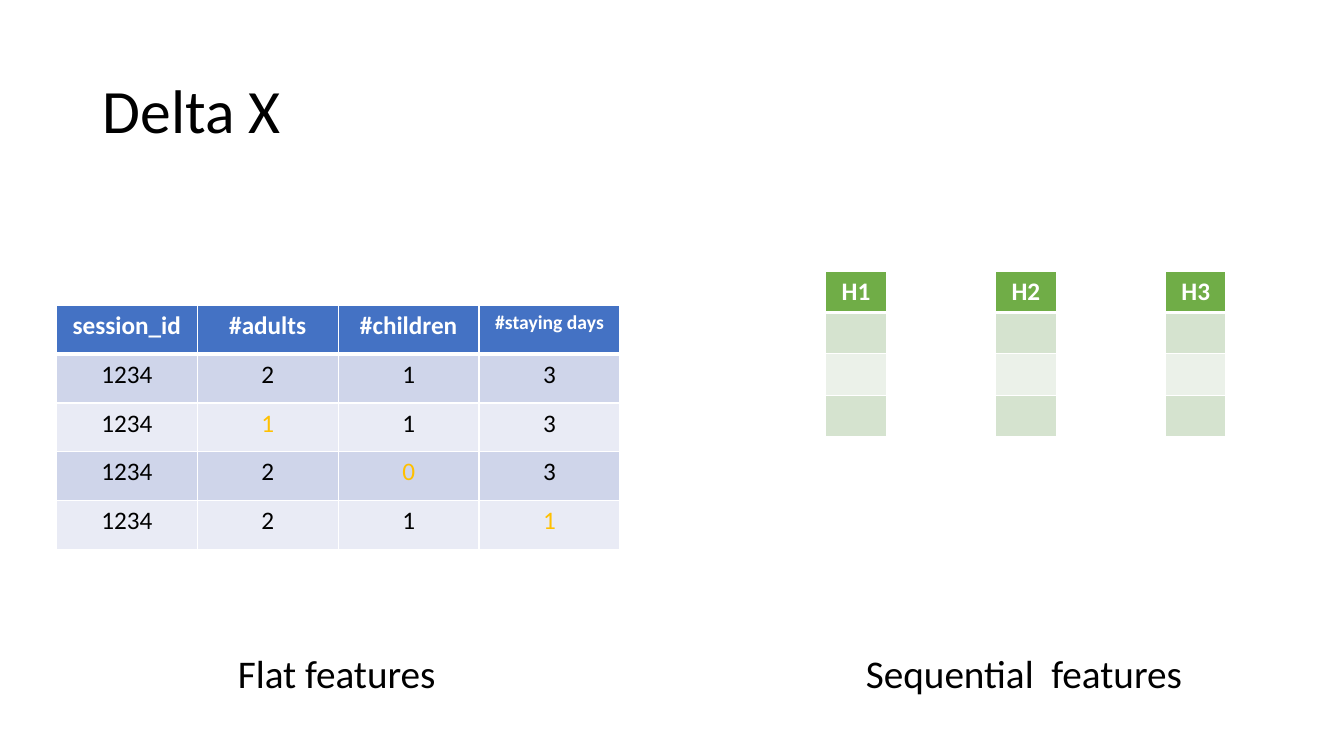
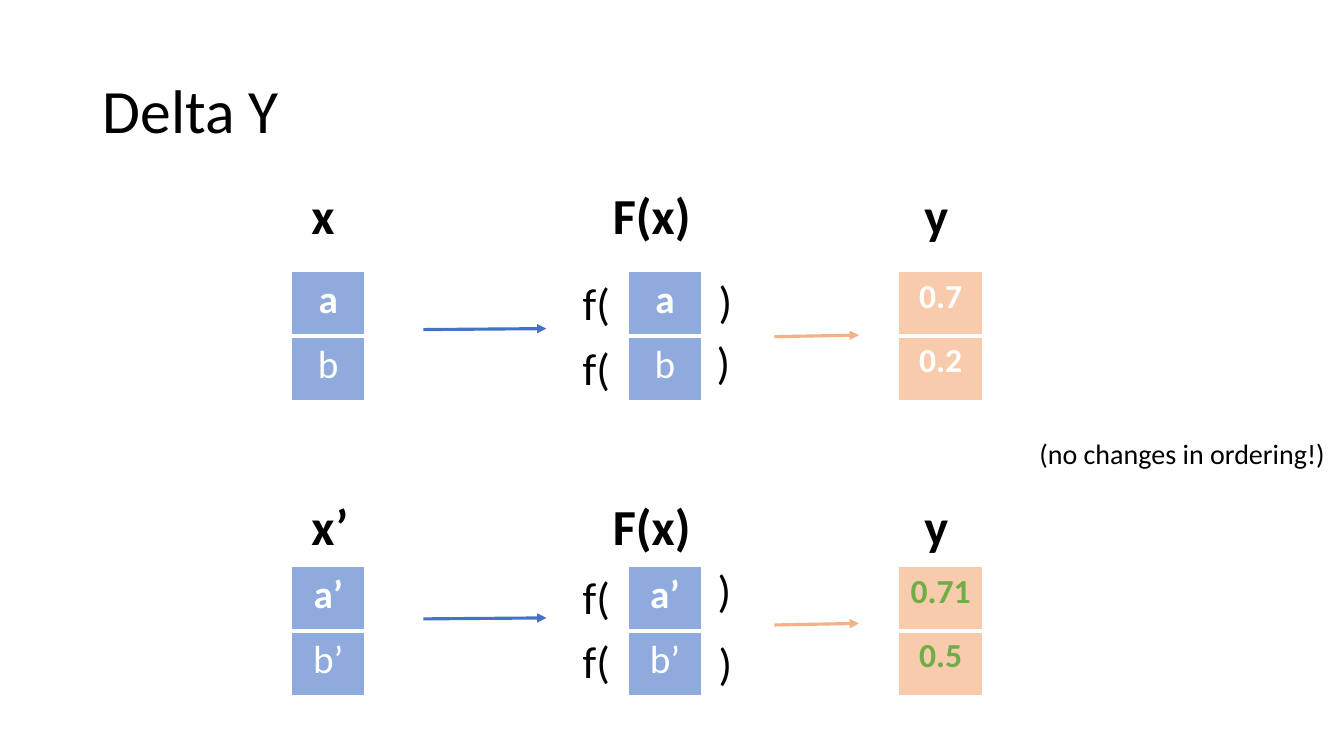
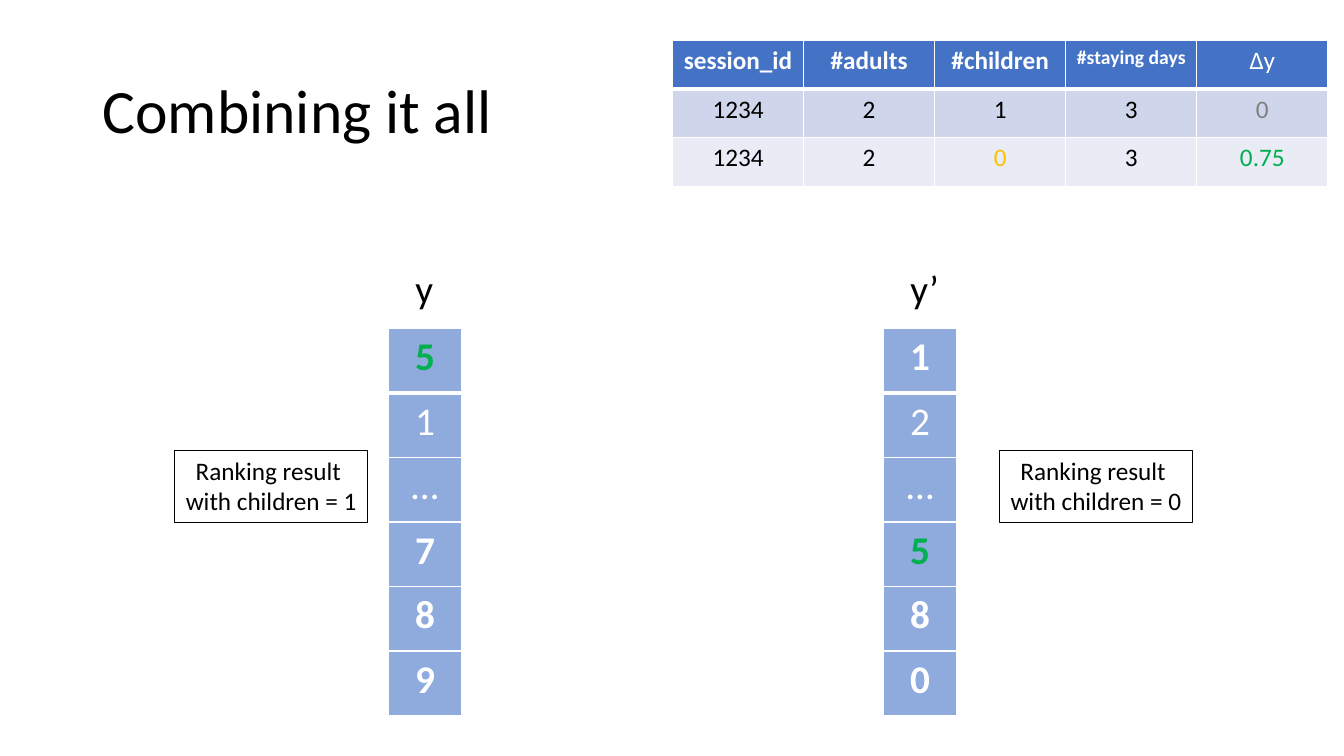
import collections
import dataclasses
import typing

import lxml.etree
import pptx
import pptx.dml.color
import pptx.enum.shapes
import pptx.enum.text
import pptx.oxml
import pptx.oxml.ns
import pptx.util

Inches = pptx.util.Inches
Pt = pptx.util.Pt
RGBColor = pptx.dml.color.RGBColor
qn = pptx.oxml.ns.qn

FONT = "Calibri"
BLACK = RGBColor(0x00, 0x00, 0x00)
WHITE = RGBColor(0xFF, 0xFF, 0xFF)
GREY = RGBColor(0x80, 0x80, 0x80)
AMBER = RGBColor(0xFF, 0xC0, 0x00)
EMERALD = RGBColor(0x00, 0xB0, 0x50)
GREEN = RGBColor(0x70, 0xAD, 0x47)
GREEN_DARK_BAND = RGBColor(0xD5, 0xE3, 0xCF)
GREEN_LIGHT_BAND = RGBColor(0xEB, 0xF1, 0xE9)
BLUE = RGBColor(0x44, 0x72, 0xC4)
BLUE_DARK_BAND = RGBColor(0xCF, 0xD5, 0xEA)
BLUE_LIGHT_BAND = RGBColor(0xE9, 0xEB, 0xF5)
BLUE_SOFT = RGBColor(0x8F, 0xAA, 0xDC)
ORANGE = RGBColor(0xF4, 0xB1, 0x83)
PEACH = RGBColor(0xF8, 0xCB, 0xAD)

BLUE_BANDS = (BLUE, BLUE_DARK_BAND, BLUE_LIGHT_BAND)
GREEN_BANDS = (GREEN, GREEN_DARK_BAND, GREEN_LIGHT_BAND)
SOFT_BLUE_FILL = (BLUE_SOFT,) * 3
PEACH_FILL = (PEACH,) * 3

ROW_HEIGHT = 0.64
COLUMN_WIDTH = 0.73

Box = collections.namedtuple("Box", "left top width height")


@dataclasses.dataclass
class Words:
    """A run of text with its style."""
    text: str
    color: RGBColor = BLACK
    bold: bool = False
    size: float = 18


@dataclasses.dataclass
class MappingLayout:
    """Vertical offsets of one mapping row, measured from the top of its tables."""
    heading: float
    openings: typing.Sequence[float]
    closings: typing.Sequence[typing.Tuple[float, float]]
    input_arrow: float
    output_arrow: float


def white(text, bold=True, size=18):
    return Words(text, WHITE, bold, size)


def as_emu(box):
    return [Inches(length) for length in box]


def add_run(paragraph, words):
    run = paragraph.add_run()
    run.text = words.text
    run.font.name = FONT
    run.font.size = Pt(words.size)
    run.font.bold = words.bold
    run.font.color.rgb = words.color


def add_label(slide, box, words):
    shape = slide.shapes.add_textbox(*as_emu(box))
    shape.text_frame.word_wrap = False
    shape.text_frame.auto_size = pptx.enum.text.MSO_AUTO_SIZE.SHAPE_TO_FIT_TEXT
    add_run(shape.text_frame.paragraphs[0], words)


def add_titled_slide(presentation, title):
    slide = presentation.slides.add_slide(presentation.slide_layouts[6])
    shape = slide.shapes.add_textbox(*as_emu(Box(0.92, 0.4, 11.5, 1.45)))
    frame = shape.text_frame
    frame.word_wrap = True
    frame.vertical_anchor = pptx.enum.text.MSO_ANCHOR.MIDDLE
    frame.paragraphs[0].line_spacing = 0.9
    add_run(frame.paragraphs[0], Words(title, size=44))
    return slide


def set_borders(cell, row_index):
    """White grid, with a heavier rule below the first row."""
    properties = cell._tc.get_or_add_tcPr()
    widths = {"lnL": 1, "lnR": 1,
              "lnT": 3 if row_index == 1 else 1,
              "lnB": 3 if row_index == 0 else 1}
    for position, (side, width) in enumerate(widths.items()):
        line = lxml.etree.Element(qn("a:" + side), w=str(int(Pt(width))))
        fill = lxml.etree.SubElement(line, qn("a:solidFill"))
        lxml.etree.SubElement(fill, qn("a:srgbClr"), val=str(WHITE))
        properties.insert(position, line)


def add_grid(slide, box, rows, fills):
    """Table of equal cells; fills are the header and the two alternating bands."""
    frame = slide.shapes.add_table(len(rows), len(rows[0]), *as_emu(box))
    table = frame.table
    table.first_row = False
    table.horz_banding = False
    for column in table.columns:
        column.width = Inches(box.width / len(rows[0]))
    for row_index, row in enumerate(rows):
        table.rows[row_index].height = Inches(box.height / len(rows))
        fill = fills[0] if row_index == 0 else fills[2 - row_index % 2]
        for column_index, words in enumerate(row):
            cell = table.cell(row_index, column_index)
            cell.fill.solid()
            cell.fill.fore_color.rgb = fill
            set_borders(cell, row_index)
            paragraph = cell.text_frame.paragraphs[0]
            paragraph.alignment = pptx.enum.text.PP_ALIGN.CENTER
            if words:
                add_run(paragraph, words)


def add_stack(slide, left, top, cells, fills=SOFT_BLUE_FILL, width=COLUMN_WIDTH,
              row_height=ROW_HEIGHT):
    """Table of a single column."""
    box = Box(left, top, width, row_height * len(cells))
    add_grid(slide, box, [[words] for words in cells], fills)


def add_arrow(slide, left, top, width, rise, color):
    connector = slide.shapes.add_connector(
        pptx.enum.shapes.MSO_CONNECTOR.STRAIGHT,
        Inches(left), Inches(top), Inches(left + width), Inches(top - rise))
    connector.line.color.rgb = color
    connector.line.width = Pt(2.25)
    line = connector.line._get_or_add_ln()
    lxml.etree.SubElement(line, qn("a:tailEnd"), type="triangle")
    lxml.etree.SubElement(connector._element.spPr, qn("a:effectLst"))


def add_note(slide, box, lines):
    shape = slide.shapes.add_shape(
        pptx.enum.shapes.MSO_SHAPE.RECTANGLE, *as_emu(box))
    shape.shadow.inherit = False
    shape.fill.background()
    shape.line.color.rgb = BLACK
    shape.line.width = Pt(0.75)
    frame = shape.text_frame
    frame.word_wrap = False
    frame.vertical_anchor = pptx.enum.text.MSO_ANCHOR.TOP
    for index, text in enumerate(lines):
        paragraph = frame.add_paragraph() if index else frame.paragraphs[0]
        paragraph.alignment = pptx.enum.text.PP_ALIGN.CENTER
        add_run(paragraph, Words(text))


def feature_header():
    return [white("session_id"), white("#adults"), white("#children"),
            white("#staying days", size=14)]


def feature_row(values, changed=None):
    """Row of feature values, with the changed column in amber."""
    return [Words(value, AMBER if index == changed else BLACK)
            for index, value in enumerate(values)]


def add_mapping(slide, left, top, layout, input_name, inputs, scores, score_color):
    """One row that reads x, F(x), y from left to right."""
    input_cells = [white(text, bold=index == 0, size=28)
                   for index, text in enumerate(inputs)]
    score_cells = [Words(text, score_color, True, 24) for text in scores]
    function_left = left + 3.34
    add_stack(slide, left, top, input_cells)
    add_stack(slide, function_left, top, input_cells)
    add_stack(slide, left + 6.02, top, score_cells, PEACH_FILL, width=0.84)

    name_width = 0.43 if len(input_name) == 1 else 0.57
    headings = ((0.1, name_width, input_name), (3.09, 0.98, "F(x)"),
                (6.18, 0.44, "y"))
    for offset, width, text in headings:
        box = Box(left + offset, top + layout.heading, width, 0.71)
        add_label(slide, box, Words(text, bold=True, size=36))
    for offset in layout.openings:
        box = Box(function_left - 0.55, top + offset, 0.48, ROW_HEIGHT)
        add_label(slide, box, Words("f(", size=32))
    for across, down in layout.closings:
        box = Box(function_left + across, top + down, 0.34, ROW_HEIGHT)
        add_label(slide, box, Words(")", size=32))
    add_arrow(slide, left + 1.31, top + layout.input_arrow, 1.22, 0.01, BLUE)
    add_arrow(slide, left + 4.79, top + layout.output_arrow, 0.84, 0.015, ORANGE)


def add_ranking(slide, left, top, name, name_width, cells, note_offset, children):
    """Ranked column with its name above and a note beside it."""
    add_label(slide, Box(left + 0.17, top - 0.69, name_width, 0.57),
              Words(name, size=28))
    add_stack(slide, left, top, cells)
    add_note(slide, Box(left + note_offset, top + 1.21, 1.92, 0.71),
             ["Ranking result ", f"with children = {children}"])


def build_delta_x(presentation):
    slide = add_titled_slide(presentation, "Delta X")
    add_label(slide, Box(2.26, 6.39, 2.18, 0.57), Words("Flat features", size=28))
    add_label(slide, Box(8.49, 6.39, 3.37, 0.57),
              Words("Sequential  features", size=28))
    rows = [feature_header(),
            feature_row(["1234", "2", "1", "3"]),
            feature_row(["1234", "1", "1", "3"], changed=1),
            feature_row(["1234", "2", "0", "3"], changed=2),
            feature_row(["1234", "2", "1", "1"], changed=3)]
    add_grid(slide, Box(0.56, 3.03, 5.59, 2.42), rows, BLUE_BANDS)
    for index in range(3):
        add_stack(slide, 8.19 + 1.685 * index, 2.69,
                  [white(f"H{index + 1}"), None, None, None],
                  GREEN_BANDS, width=0.6, row_height=0.41)


def build_delta_y(presentation):
    slide = add_titled_slide(presentation, "Delta Y")
    before = MappingLayout(-0.91, (0, 0.64), ((0.8, -0.02), (0.78, 0.58)),
                           0.58, 0.65)
    after = MappingLayout(-0.76, (-0.02, 0.62), ((0.79, -0.09), (0.8, 0.64)),
                          0.52, 0.58)
    add_mapping(slide, 2.89, 2.69, before, "x", ["a", "b"], ["0.7", "0.2"], WHITE)
    add_mapping(slide, 2.89, 5.62, after, "x’", ["a’", "b’"], ["0.71", "0.5"], GREEN)
    add_label(slide, Box(10.21, 4.28, 3.06, 0.44),
              Words("(no changes in ordering!)", size=20))


def build_combined(presentation):
    slide = add_titled_slide(presentation, "Combining it all")
    rows = [feature_header() + [white("Δy", bold=False)],
            feature_row(["1234", "2", "1", "3"]) + [Words("0", GREY)],
            feature_row(["1234", "2", "0", "3"], changed=2) + [Words("0.75", EMERALD)]]
    add_grid(slide, Box(6.67, 0.4, 6.5, 1.45), rows, BLUE_BANDS)

    tracked = Words("5", EMERALD, True, 28)
    ellipsis = white("…", bold=False, size=28)
    seven, eight, nine, one, zero = [white(text, size=28) for text in "78910"]
    plain_one, plain_two = [white(text, bold=False, size=28) for text in "12"]
    add_ranking(slide, 3.85, 3.26, "y", 0.38,
                [tracked, plain_one, ellipsis, seven, eight, nine], -2.12, 1)
    add_ranking(slide, 8.76, 3.26, "y’", 0.49,
                [one, plain_two, ellipsis, tracked, eight, zero], 1.15, 0)


def main():
    presentation = pptx.Presentation()
    presentation.slide_width = Inches(13.33)
    presentation.slide_height = Inches(7.5)
    build_delta_x(presentation)
    build_delta_y(presentation)
    build_combined(presentation)
    presentation.save("out.pptx")


if __name__ == "__main__":
    main()
